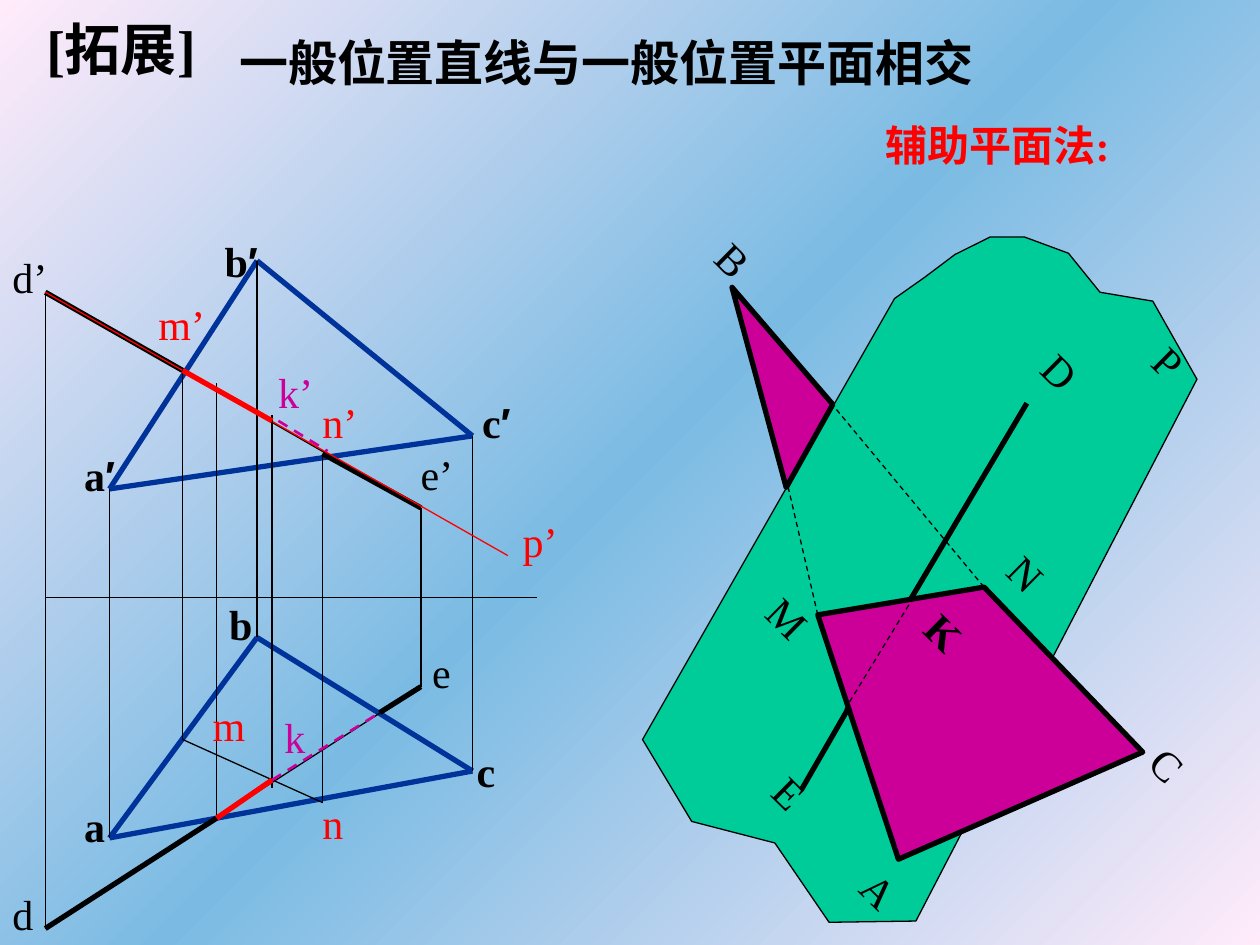
from copy import deepcopy
from dataclasses import dataclass
from typing import NamedTuple

from lxml import etree
from pptx import Presentation
from pptx.dml.color import RGBColor
from pptx.enum import dml, text
from pptx.enum import shapes as kinds
from pptx.oxml import ns
from pptx.util import Pt


@dataclass(frozen=True)
class Theme:
    black: str = "000000"
    blue: str = "003399"
    red: str = "FF0000"
    magenta: str = "CC0099"
    green: str = "00CC99"
    edge: str = "FFEBFA"
    middle: str = "7BBBE3"
    latin: str = "Times New Roman"
    prime: str = "Arial"
    heading: int = 32
    title: int = 28
    body: int = 24
    thin: float = 0.75
    dashed: float = 1.5
    thick: float = 3


THEME = Theme()
TILT = 44.6  # the spatial view is turned by this angle


class Point(NamedTuple):
    x: float
    y: float


@dataclass(frozen=True)
class Stroke:
    start: Point
    end: Point
    color: str = THEME.black
    width: float = THEME.thin
    dash: bool = False


@dataclass(frozen=True)
class Region:
    corners: list[Point]
    fill: str
    width: float


@dataclass(frozen=True)
class Label:
    words: str
    left: float
    top: float
    width: float
    color: str = THEME.black
    bold: bool = False
    size: int = THEME.body
    height: float = 36
    rotation: float = 0
    wrap: bool = False
    centred: bool = False


def rgb(color: str) -> RGBColor:
    return RGBColor.from_string(color)


def paint_background(slide) -> None:
    fill = slide.background.fill
    fill.gradient()
    fill.gradient_angle = 135
    first = fill._fill._gradFill.gsLst[0]
    first.addnext(deepcopy(first))
    stops = ((0, THEME.edge), (0.5, THEME.middle), (1, THEME.edge))
    for stop, (position, color) in zip(fill.gradient_stops, stops):
        stop.position = position
        stop.color.rgb = rgb(color)


def draw_stroke(slide, stroke: Stroke) -> None:
    ends = [Pt(value) for value in (*stroke.start, *stroke.end)]
    connector = slide.shapes.add_connector(kinds.MSO_CONNECTOR.STRAIGHT, *ends)
    connector.line.color.rgb = rgb(stroke.color)
    connector.line.width = Pt(stroke.width)
    if stroke.dash:
        connector.line.dash_style = dml.MSO_LINE.DASH
    etree.SubElement(connector._element.spPr, ns.qn("a:effectLst"))


def draw_region(slide, region: Region) -> None:
    first, *others = [(Pt(x), Pt(y)) for x, y in region.corners]
    builder = slide.shapes.build_freeform(*first)
    builder.add_line_segments(others, close=True)
    outline = builder.convert_to_shape()
    outline.shadow.inherit = False
    outline.fill.solid()
    outline.fill.fore_color.rgb = rgb(region.fill)
    outline.line.color.rgb = rgb(THEME.black)
    outline.line.width = Pt(region.width)


def draw_label(slide, label: Label) -> None:
    """Write a label; a prime mark gets a run in its own font."""
    place = [Pt(v) for v in (label.left, label.top, label.width, label.height)]
    box = slide.shapes.add_textbox(*place)
    box.rotation = label.rotation
    frame = box.text_frame
    frame.word_wrap = label.wrap
    frame.auto_size = text.MSO_AUTO_SIZE.SHAPE_TO_FIT_TEXT
    paragraph = frame.paragraphs[0]
    if label.centred:
        frame.vertical_anchor = text.MSO_ANCHOR.MIDDLE
        paragraph.alignment = text.PP_ALIGN.CENTER
    name, mark, _ = label.words.partition("′")
    for part, face in ((name, THEME.latin), (mark, THEME.prime)):
        if part:
            run = paragraph.add_run()
            run.text = part
            run.font.name = face
            run.font.size = Pt(label.size)
            run.font.bold = label.bold
            run.font.color.rgb = rgb(label.color)


def draw_headings(slide) -> None:
    for heading in (
        Label("[拓展]", 19.4, 5, 115.2, bold=True, size=THEME.heading, height=46),
        Label("一般位置直线与一般位置平面相交", 129.6, 15.1, 517.7, bold=True,
              size=THEME.title, height=41, wrap=True),
        Label("辅助平面法:", 499, 64.8, 148.3, THEME.red, bold=True),
    ):
        draw_label(slide, heading)


def draw_projections(slide) -> None:
    """Front and top views of triangle abc, line de and their meeting point k."""
    t = THEME
    x_a, x_b, x_c, x_d, x_e = 62.6, 146.9, 270, 25.9, 240.5
    x_m, x_n, x_k, x_entry = 104.4, 184.3, 155.5, 123.8
    a_front, b_front, c_front = Point(x_a, 279.4), Point(x_b, 149), Point(x_c, 249.1)
    a, b, c = Point(x_a, 478.8), Point(x_b, 364.3), Point(x_c, 440.6)
    d_front, e_front, d, e = (Point(x_d, 167), Point(x_e, 290.2),
                              Point(x_d, 530.6), Point(x_e, 392.4))
    m_front, n_front, m, n = (Point(x_m, 211.7), Point(x_n, 259.2),
                              Point(x_m, 422.6), Point(x_n, 458.6))
    k_front, k = Point(x_k, 240.5), Point(x_k, 445.7)
    entry, leave = Point(x_entry, 467.5), Point(217, 407.2)

    draw_stroke(slide, Stroke(Point(x_d, 341.3), Point(306.7, 341.3)))
    for p, q, r in ((a_front, b_front, c_front), (a, b, c)):
        for start, end in ((p, q), (q, r), (p, r)):
            draw_stroke(slide, Stroke(start, end, t.blue, t.thick))
    for upper, lower in ((a_front, a), (b_front, b), (c_front, c),
                         (d_front, e_front), (e_front, e), (d_front, d), (e, d)):
        draw_stroke(slide, Stroke(upper, lower))
    for start, end in ((d_front, m_front), (e_front, n_front), (d, entry), (leave, e)):
        draw_stroke(slide, Stroke(start, end, width=t.thick))
    draw_stroke(slide, Stroke(d_front, Point(290.2, 317.5), t.red))
    for start, end in ((m_front, m), (n_front, n), (m, n),
                       (Point(x_k, 450), Point(x_k, 236.9)),
                       (entry, Point(x_entry, 218.9))):
        draw_stroke(slide, Stroke(start, end))
    for start, end in ((m_front, k_front), (entry, k)):
        draw_stroke(slide, Stroke(start, end, t.red, t.thick))
    for start, end in ((Point(159.1, 240.5), Point(187.2, 257.8)), (k, leave)):
        draw_stroke(slide, Stroke(start, end, t.magenta, t.dashed, dash=True))

    for words, left, top, width in (
        ("b", 123.8, 338.4, 27.4), ("c′", 267.1, 223.2, 33.1), ("b′", 120.2, 131, 35.3),
        ("a′", 39.6, 253.4, 34.6), ("a", 41, 453.6, 25.9), ("c", 265, 422.6, 25.2),
    ):
        draw_label(slide, Label(words, left, top, width, bold=True, centred=True))
    for words, left, top, width, color in (
        ("d’", 0, 140.4, 34.6, t.black), ("e’", 233.3, 252.7, 33.1, t.black),
        ("d", 0, 504, 25.9, t.black), ("e", 239.8, 365.8, 25.2, t.black),
        ("p’", 291.6, 290.9, 34.6, t.red), ("m’", 83.5, 167, 41, t.red),
        ("n’", 177.1, 223.2, 34.6, t.red), ("m", 114.5, 396, 33.1, t.red),
        ("n", 177.1, 452.2, 25.9, t.red), ("k", 155.5, 403.2, 25.9, t.magenta),
        ("k’", 151.9, 205.9, 34.6, t.magenta),
    ):
        draw_label(slide, Label(words, left, top, width, color))


def draw_spatial_view(slide) -> None:
    """Triangle ABC cut by the auxiliary plane P, with line DE through K."""
    t = THEME
    m, n, c, a = (Point(467.3, 351.4), Point(562.3, 335.5),
                  Point(653, 429.8), Point(513.4, 491))
    b, upper_right, upper_left = Point(418.3, 164.2), Point(475.9, 231.1), Point(449.3, 278.6)
    plane = [Point(*corner) for corner in (
        (511.2, 170.6), (367.2, 422.6), (395.3, 469.4), (442.8, 481.7), (473.8, 527),
        (523.4, 526.3), (684, 216.7), (658.8, 172.1), (628.6, 167), (610.6, 144.7),
        (585.4, 135.4), (565.9, 135.4), (545.8, 145.4), (528.5, 158.4))]

    draw_region(slide, Region(plane, t.green, t.thin))
    draw_stroke(slide, Stroke(m, Point(449.3, 273.6), dash=True))
    draw_region(slide, Region([m, n, c, a], t.magenta, t.thick))
    draw_stroke(slide, Stroke(n, Point(473.8, 229), dash=True))
    draw_region(slide, Region([b, upper_right, upper_left], t.magenta, t.thick))
    for start, end in ((Point(586.8, 230.4), Point(519.8, 343.4)),
                       (Point(485.3, 403.9), Point(457.9, 451.4))):
        draw_stroke(slide, Stroke(start, end, width=t.thick))
    draw_stroke(slide, Stroke(Point(522, 341.3), Point(482.4, 406.1), dash=True))

    for words, left, top, width in (
        ("M", 432.7, 334.8, 35.3), ("N", 571, 309.6, 31.7), ("A", 487.4, 491, 31.7),
        ("C", 652.3, 419, 30.2), ("B", 404.6, 130.3, 30.2), ("D", 590.4, 194.4, 31.7),
        ("E", 437, 434.9, 28.8), ("K", 523.4, 343.4, 33.1), ("P", 654.5, 188.6, 27.4),
    ):
        draw_label(slide, Label(words, left, top, width, bold=words == "K", rotation=TILT))


def main() -> None:
    deck = Presentation()
    deck.slide_width, deck.slide_height = Pt(720), Pt(540)
    slide = deck.slides.add_slide(deck.slide_layouts[6])
    paint_background(slide)
    draw_headings(slide)
    draw_projections(slide)
    draw_spatial_view(slide)
    deck.save("out.pptx")


if __name__ == "__main__":
    main()
